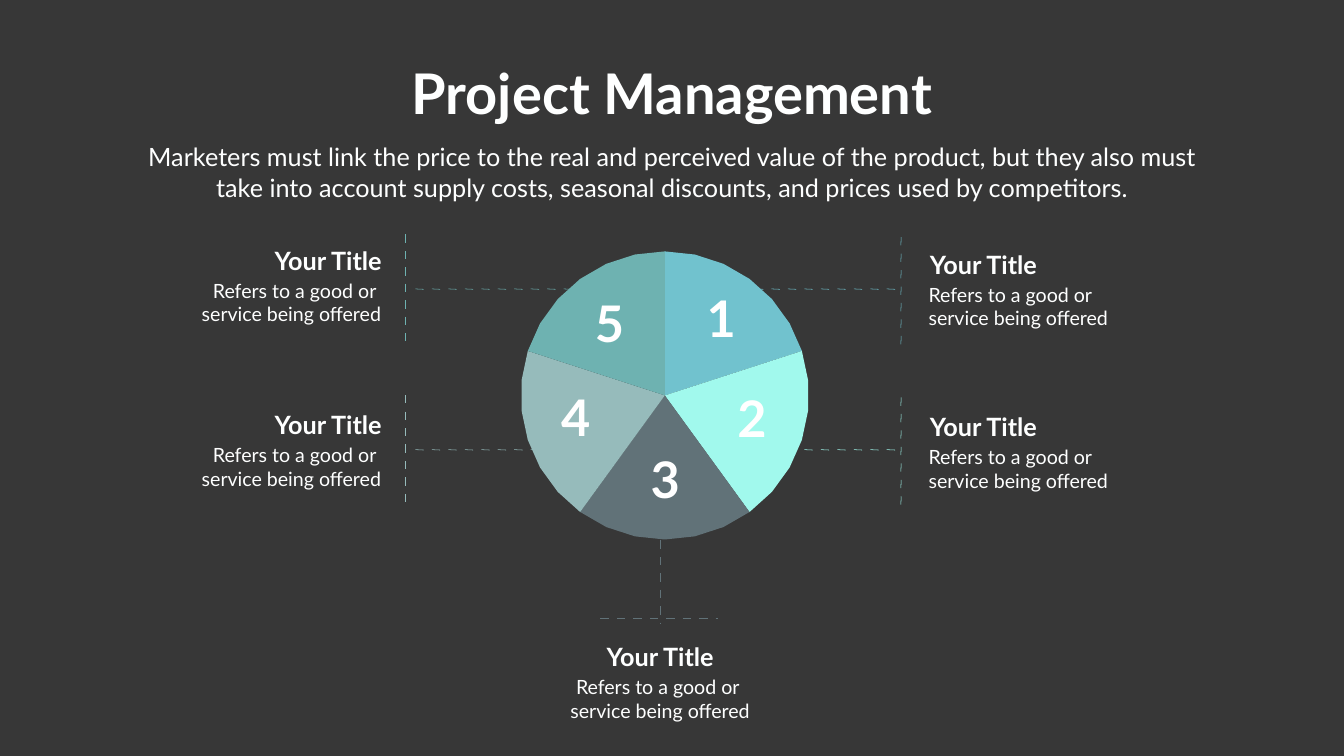
import math
from lxml import etree
from pptx import Presentation
from pptx import util as u
from pptx.dml import color as dml
from pptx.enum import shapes, text
from pptx.oxml import ns

WHITE = "FEFFFF"
LEFT, CENTER, RIGHT = text.PP_ALIGN.LEFT, text.PP_ALIGN.CENTER, text.PP_ALIGN.RIGHT


def rgb(value):
    return dml.RGBColor.from_string(value)


def write(shape, box, lines, size, bold=False, align=LEFT, wrap=True, color=WHITE):
    shape.left, shape.top, shape.width, shape.height = [u.Cm(length) for length in box]
    frame = shape.text_frame
    frame.word_wrap = wrap
    frame.auto_size = text.MSO_AUTO_SIZE.NONE
    frame.vertical_anchor = text.MSO_ANCHOR.TOP
    for index, line in enumerate(lines):
        paragraph = frame.add_paragraph() if index else frame.paragraphs[0]
        paragraph.alignment = align
        run = paragraph.add_run()
        run.text = line
        run.font.name = "Lato"
        run.font.size = u.Pt(size)
        run.font.bold = bold
        run.font.color.rgb = rgb(color)


presentation = Presentation()
presentation.slide_width = u.Cm(67.72)
presentation.slide_height = u.Cm(38.1)
slide = presentation.slides.add_slide(presentation.slide_layouts[5])
slide.background.fill.solid()
slide.background.fill.fore_color.rgb = rgb("373737")

slice_colors = ["71C2CE", "A1F9ED", "617278", "96BBBB", "6EB2B1"]
blue, mint, slate, sage, teal = slice_colors

dash, pitch, slant = 0.42, 0.83, 0.02
across, down, up = (1, 0), (0, 1), (0, -1)
dashed_lines = [
    (33.25, 24.74, down, 1.25, 0, "57737A"),
    (33.25, 26.4, down, 5.02, 0, slate),
    (37.21, 14.56, across, 7.89, slant, blue),
    (37.21, 22.66, across, 2.91, slant, "8DFAED"),
    (40.53, 22.66, across, 4.57, slant, mint),
    (20.93, 14.56, across, 7.89, slant, teal),
    (20.93, 22.66, across, 6.23, slant, sage),
    (27.57, 22.66, across, 1.25, slant, "86BCBD"),
    (45.39, 17.35, up, 5.4, slant, blue),
    (45.39, 25.43, up, 5.4, slant, mint),
    (20.42, 11.81, down, 5.4, 0, teal),
    (20.42, 19.91, down, 5.4, 0, sage),
    (30.25, 31.17, across, 5.95, 0, slate),
]
for x, y, (step_x, step_y), length, drift, color in dashed_lines:
    for index in range(math.ceil(length / pitch)):
        start = index * pitch
        end = min(start + dash, length)
        connector = slide.shapes.add_connector(
            shapes.MSO_CONNECTOR.STRAIGHT,
            u.Cm(x + step_x * start), u.Cm(y + step_y * start),
            u.Cm(x + step_x * end + abs(step_y) * drift),
            u.Cm(y + step_y * end + abs(step_x) * drift))
        connector.line.color.rgb = rgb(color)
        connector.line.width = u.Pt(0.77)
        etree.SubElement(connector._element.spPr, ns.qn("a:effectLst"))

center_x, center_y, radius = 33.5, 19.93, 7.26
slice_angle = 360 // len(slice_colors)
arc_step = 12
for index, color in enumerate(slice_colors):
    start = index * slice_angle - 90
    arc = []
    for degree in range(start, start + slice_angle + 1, arc_step):
        angle = math.radians(degree)
        arc.append((u.Cm(center_x + radius * math.cos(angle)),
                    u.Cm(center_y + radius * math.sin(angle))))
    builder = slide.shapes.build_freeform(u.Cm(center_x), u.Cm(center_y))
    builder.add_line_segments(arc, close=True)
    pie_slice = builder.convert_to_shape()
    pie_slice.shadow.inherit = False
    pie_slice.fill.solid()
    pie_slice.fill.fore_color.rgb = rgb(color)
    pie_slice.line.fill.background()

write(slide.shapes.title, (20.19, 2.82, 27.33, 3.68), ["Project Management"],
      80, bold=True, align=CENTER, wrap=False)
intro = ("Marketers must link the price to the real and perceived value of the product, "
         "but they also must take into account supply costs, seasonal discounts, "
         "and prices used by competitors.")
write(slide.shapes.add_textbox(0, 0, 0, 0), (6.81, 7.02, 54.1, 3.33), [intro],
      36, align=CENTER)

number_positions = [(35.36, 14.35), (36.9, 19.38), (32.54, 22.45), (28.02, 19.33), (29.72, 14.61)]
for number, (left, top) in enumerate(number_positions, 1):
    write(slide.shapes.add_textbox(0, 0, 0, 0), (left, top, 2.01, 3.33), [str(number)],
          72, bold=True, wrap=False, color="FFFFFF")

callouts = [
    (46.61, 46.54, 12.42, LEFT, "Refers to a good or"),
    (46.61, 46.54, 20.6, LEFT, "Refers to a good or"),
    (12.85, 9.37, 12.22, RIGHT, "Refers to a good or "),
    (12.85, 9.37, 20.5, RIGHT, "Refers to a good or "),
    (29.95, 28.22, 32.21, CENTER, "Refers to a good or "),
]
for heading_left, body_left, top, align, first_line in callouts:
    write(slide.shapes.add_textbox(0, 0, 0, 0), (heading_left, top, 6.63, 1.8),
          ["Your Title"], 36, bold=True, align=align)
    write(slide.shapes.add_textbox(0, 0, 0, 0), (body_left, top + 1.7, 10.08, 2.64),
          [first_line, "service being offered"], 28, align=align)

presentation.save("out.pptx")
